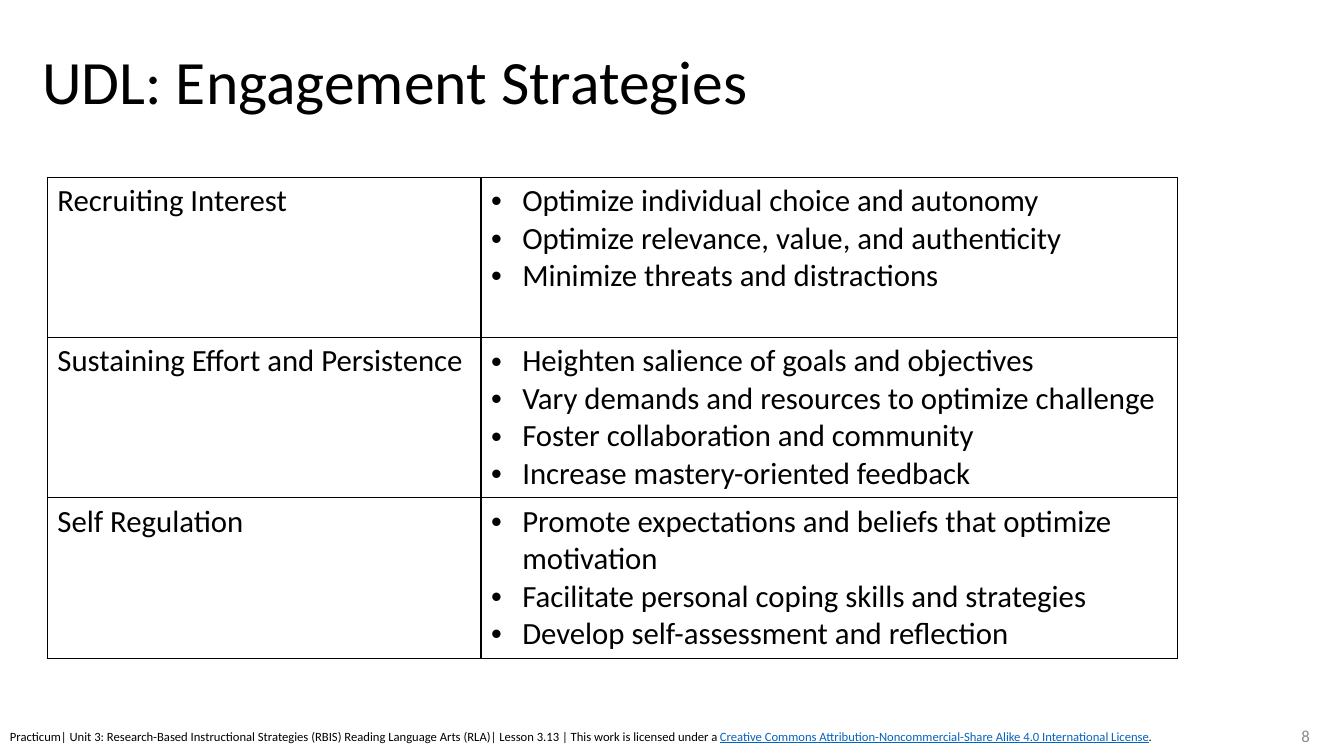
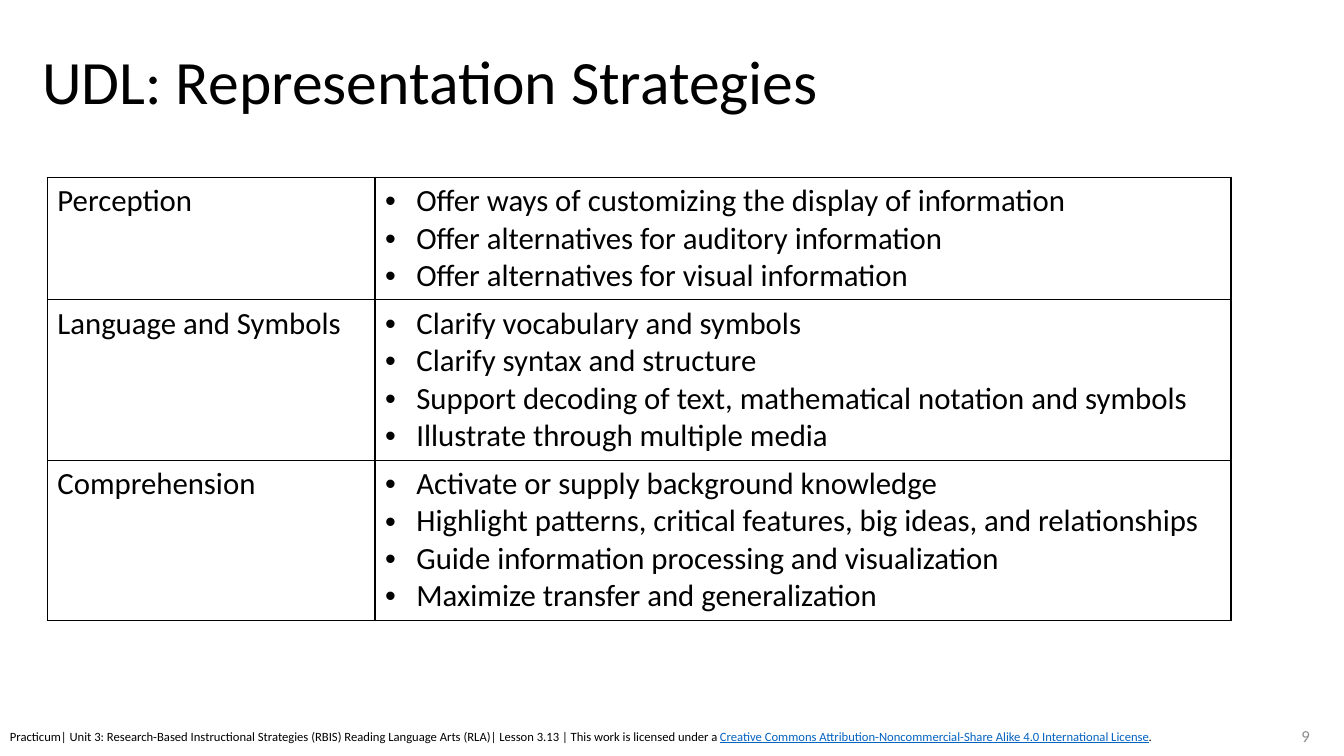
from dataclasses import dataclass

from lxml.etree import SubElement
from pptx import Presentation
from pptx.dml.color import RGBColor as Color
from pptx.enum.text import MSO_ANCHOR as Anchor, MSO_AUTO_SIZE as AutoSize, PP_ALIGN as Align
from pptx.oxml import parse_xml
from pptx.oxml.ns import nsdecls, qn
from pptx.util import Pt

EMU_PER_PX = 9144  # 100 px to the inch


@dataclass(frozen=True)
class Theme:
    font: str = "Calibri"
    ink: str = "000000"
    muted: str = "8C8C8C"
    link: str = "0563C1"
    title_size: int = 44
    cell_size: int = 22
    number_size: int = 12
    footer_size: int = 9
    border_width: int = 1


THEME = Theme()
TITLE_ONLY = 5
BULLET_INDENT = 31
TABLE_LEFT, TABLE_TOP = 47, 176
FIRST_NUMBER = 8

# Footer runs: text, colour, underline
FOOTER = [
    ("Practicum| Unit 3: Research-Based Instructional Strategies (RBIS) "
     "Reading Language Arts (RLA)| Lesson 3.13 | This work is licensed under a ", THEME.ink, False),
    ("Creative Commons Attribution-Noncommercial-Share Alike 4.0 International License",
     THEME.link, True),
    (".", THEME.ink, False),
]

# Slides: title, column widths, row heights, rows of (principle, strategies)
SLIDES = [
    ("UDL: Engagement Strategies", (430, 691), (159, 159, 159), [
        ("Recruiting Interest", [
            "Optimize individual choice and autonomy",
            "Optimize relevance, value, and authenticity",
            "Minimize threats and distractions"]),
        ("Sustaining Effort and Persistence", [
            "Heighten salience of goals and objectives",
            "Vary demands and resources to optimize challenge",
            "Foster collaboration and community",
            "Increase mastery-oriented feedback"]),
        ("Self Regulation", [
            "Promote expectations and beliefs that optimize motivation",
            "Facilitate personal coping skills and strategies",
            "Develop self-assessment and reflection"]),
    ]),
    ("UDL: Representation Strategies", (325, 849), (121, 159, 159), [
        ("Perception", [
            "Offer ways of customizing the display of information",
            "Offer alternatives for auditory information",
            "Offer alternatives for visual information"]),
        ("Language and Symbols", [
            "Clarify vocabulary and symbols",
            "Clarify syntax and structure",
            "Support decoding of text, mathematical notation and symbols",
            "Illustrate through multiple media"]),
        ("Comprehension", [
            "Activate or supply background knowledge",
            "Highlight patterns, critical features, big ideas, and relationships",
            "Guide information processing and visualization",
            "Maximize transfer and generalization"]),
    ]),
]


def px(length):
    return length * EMU_PER_PX


def style(font, size, color=THEME.ink, underline=False):
    font.name = THEME.font
    font.size = Pt(size)
    font.bold = False
    font.underline = underline
    font.color.rgb = Color.from_string(color)


def add_title(page, text):
    title = page.shapes.title
    title.left, title.top, title.width, title.height = map(px, (32, 26, 1150, 115))
    frame = title.text_frame
    frame.text = text
    frame.auto_size = AutoSize.NONE
    frame.vertical_anchor = Anchor.MIDDLE
    para = frame.paragraphs[0]
    para.alignment = Align.LEFT
    para.line_spacing = 0.9
    style(para.runs[0].font, THEME.title_size)


def add_text(page, bounds, spans, size, align=Align.LEFT, anchor=Anchor.TOP):
    frame = page.shapes.add_textbox(*map(px, bounds)).text_frame
    frame.word_wrap = True
    frame.vertical_anchor = anchor
    para = frame.paragraphs[0]
    para.alignment = align
    for text, color, underline in spans:
        span = para.add_run()
        span.text = text
        style(span.font, size, color, underline)


def add_bullet(para):
    properties = para._p.get_or_add_pPr()
    properties.set("marL", str(px(BULLET_INDENT)))
    properties.set("indent", str(-px(BULLET_INDENT)))
    SubElement(properties, qn("a:buFont"), typeface="Arial")
    SubElement(properties, qn("a:buChar"), char="•")


def add_borders(cell):
    properties = cell._tc.get_or_add_tcPr()
    for index, side in enumerate("LRTB"):
        properties.insert(index, parse_xml(
            f'<a:ln{side} {nsdecls("a")} w="{Pt(THEME.border_width)}"><a:solidFill>'
            f'<a:srgbClr val="{THEME.ink}"/></a:solidFill></a:ln{side}>'))


def fill_cell(cell, lines, bulleted):
    cell.fill.background()
    add_borders(cell)
    cell.text_frame.text = "\n".join(lines)
    for para in cell.text_frame.paragraphs:
        if bulleted:
            add_bullet(para)
        style(para.runs[0].font, THEME.cell_size)


def add_strategy_table(page, widths, heights, rows):
    bounds = (TABLE_LEFT, TABLE_TOP, sum(widths), sum(heights))
    table = page.shapes.add_table(len(rows), len(widths), *map(px, bounds)).table
    table.first_row = table.horz_banding = False
    for column, width in zip(table.columns, widths):
        column.width = px(width)
    for index, (principle, strategies) in enumerate(rows):
        table.rows[index].height = px(heights[index])
        fill_cell(table.cell(index, 0), [principle], bulleted=False)
        fill_cell(table.cell(index, 1), strategies, bulleted=True)


def main():
    deck = Presentation()
    deck.slide_width, deck.slide_height = px(1333), px(750)
    for number, (title, widths, heights, rows) in enumerate(SLIDES, FIRST_NUMBER):
        page = deck.slides.add_slide(deck.slide_layouts[TITLE_ONLY])
        add_title(page, title)
        add_strategy_table(page, widths, heights, rows)
        # Page number and licence footer
        add_text(page, (1009, 710, 300, 40), [(str(number), THEME.muted, False)],
                 THEME.number_size, Align.RIGHT, Anchor.MIDDLE)
        add_text(page, (0, 718, 1174, 25), FOOTER, THEME.footer_size)
    deck.save("out.pptx")


if __name__ == "__main__":
    main()
